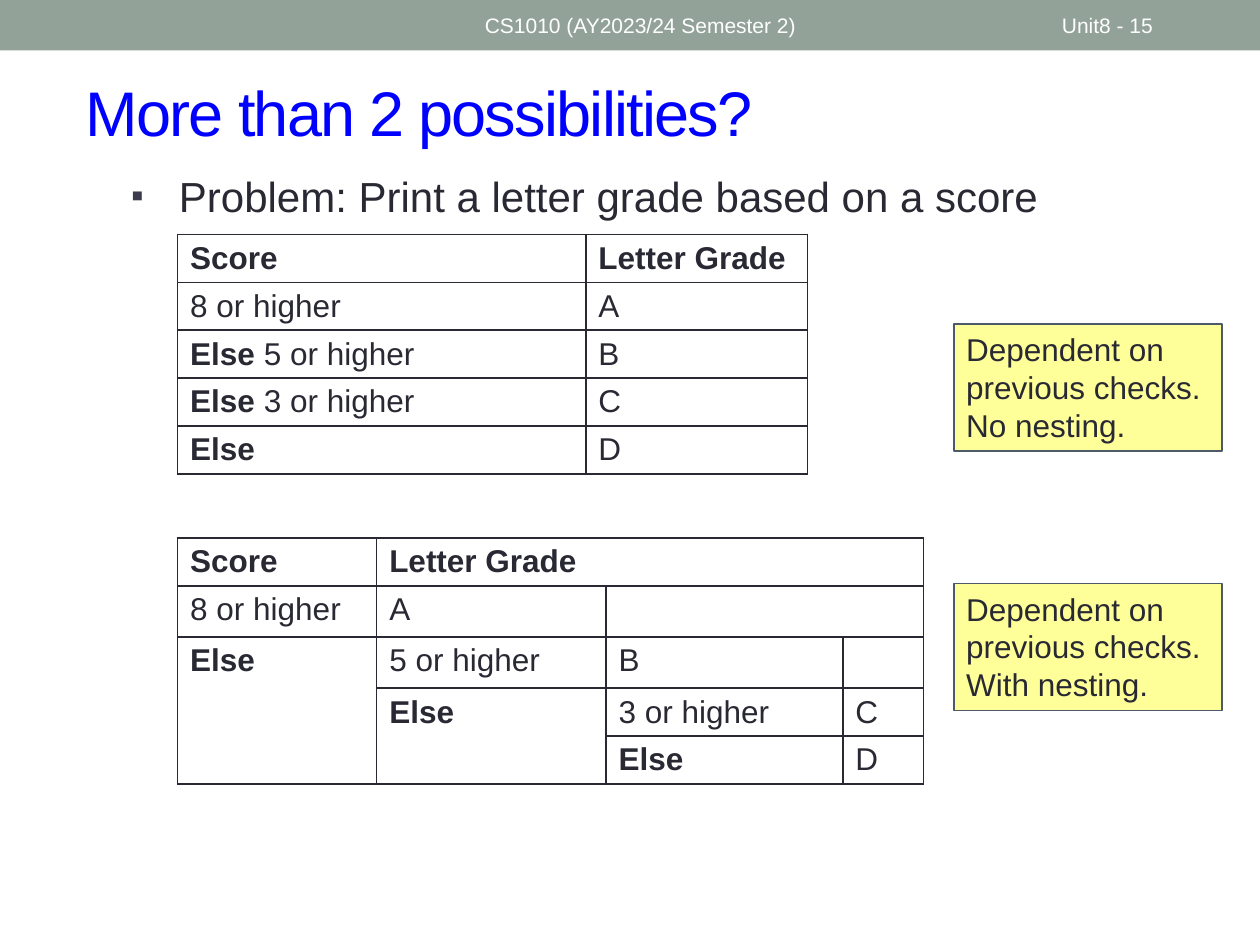
from lxml.etree import SubElement
from pptx import Presentation
from pptx.dml.color import RGBColor
from pptx.enum.shapes import MSO_SHAPE as Shape
from pptx.enum.text import MSO_ANCHOR as Anchor, PP_ALIGN as Align
from pptx.oxml import parse_xml
from pptx.oxml.ns import nsdecls, qn
from pptx.util import Inches, Pt

COLORS = {"band": "93A299", "title": "0000FF", "text": "292934", "bullet": "3B3B4B",
          "note": "FFFF99", "note_line": "4C5A6A", "white": "FFFFFF"}
FONT = "Arial"
TITLE = "More than 2 possibilities?"
PROBLEM = "Problem: Print a letter grade based on a score"
HEADINGS = [("CS1010 (AY2023/24 Semester 2)", 3.75, 4.5), ("Unit8 - 15", 8.33, 1.17)]

TABLE_LEFT, ROW_HEIGHT = 1.41, 0.38
SCORE, GRADE, ELSE = ("Score", True), ("Letter Grade", True), ("Else", True)
GRADE_TABLES = [
    {"top": 1.86, "widths": [3.24, 1.76], "merges": [],
     "rows": [[[SCORE], [GRADE]],
              [[("8 or higher", False)], [("A", False)]],
              [[ELSE, (" 5 or higher", False)], [("B", False)]],
              [[ELSE, (" 3 or higher", False)], [("C", False)]],
              [[ELSE], [("D", False)]]]},
    {"top": 4.27, "widths": [1.58, 1.82, 1.88, 0.64],
     "merges": [((0, 1), (0, 3)), ((1, 2), (1, 3)), ((2, 0), (4, 0)), ((3, 1), (4, 1))],
     "rows": [[[SCORE], [GRADE], [], []],
              [[("8 or higher", False)], [("A", False)], [], []],
              [[ELSE], [("5 or higher", False)], [("B", False)], []],
              [[], [ELSE], [("3 or higher", False)], [("C", False)]],
              [[], [], [ELSE], [("D", False)]]]},
]
NOTES = [(2.57, ["Dependent on previous checks.", "No nesting."]),
         (4.63, ["Dependent on previous checks.", "With nesting."])]


def rgb(name):
    return RGBColor.from_string(COLORS[name])


def box(left, top, width, height):
    return [Inches(value) for value in (left, top, width, height)]


def place(part, *bounds):
    part.left, part.top, part.width, part.height = box(*bounds)


def add_run(paragraph, text, size, color="text", bold=False):
    run = paragraph.add_run()
    run.text = text
    run.font.name, run.font.size, run.font.bold = FONT, Pt(size), bold
    run.font.color.rgb = rgb(color)
    return run


def add_bullet(paragraph):
    properties = paragraph._p.get_or_add_pPr()
    properties.set("marL", str(Inches(0.68)))
    properties.set("indent", str(Inches(-0.38)))
    color = SubElement(properties, qn("a:buClr"))
    SubElement(color, qn("a:srgbClr"), val=COLORS["bullet"])
    SubElement(properties, qn("a:buSzPct"), val="85000")
    SubElement(properties, qn("a:buFont"), typeface=FONT)
    SubElement(properties, qn("a:buChar"), char="▪")


def set_borders(cell):
    properties = cell._tc.get_or_add_tcPr()
    for position, side in enumerate(("lnL", "lnR", "lnT", "lnB")):
        properties.insert(position, parse_xml(
            f'<a:{side} {nsdecls("a")} w="{Pt(1)}"><a:solidFill>'
            f'<a:srgbClr val="{COLORS["text"]}"/></a:solidFill></a:{side}>'))


def add_rectangle(slide, bounds, fill, line=None):
    rectangle = slide.shapes.add_shape(Shape.RECTANGLE, *box(*bounds))
    rectangle.shadow.inherit = False
    rectangle.fill.solid()
    rectangle.fill.fore_color.rgb = rgb(fill)
    if line:
        rectangle.line.color.rgb = rgb(line)
        rectangle.line.width = Pt(1)
    else:
        rectangle.line.fill.background()
    return rectangle


def add_grade_table(slide, content):
    rows, widths = content["rows"], content["widths"]
    table = slide.shapes.add_table(
        len(rows), len(widths),
        *box(TABLE_LEFT, content["top"], sum(widths), ROW_HEIGHT * len(rows))).table
    table.first_row = table.horz_banding = False
    for column, width in zip(table.columns, widths):
        column.width = Inches(width)
    for r, row in enumerate(rows):
        table.rows[r].height = Inches(ROW_HEIGHT)
        for c, runs in enumerate(row):
            cell = table.cell(r, c)
            cell.fill.solid()
            cell.fill.fore_color.rgb = rgb("white")
            set_borders(cell)
            for text, bold in runs:
                add_run(cell.text_frame.paragraphs[0], text, 18, bold=bold)
    for first, last in content["merges"]:
        table.cell(*first).merge(table.cell(*last))


def add_note(slide, top, lines):
    frame = add_rectangle(slide, (7.57, top, 2.13, 1.01), "note", "note_line").text_frame
    frame.word_wrap = True
    frame.vertical_anchor = Anchor.TOP
    for i, line in enumerate(lines):
        paragraph = frame.add_paragraph() if i else frame.paragraphs[0]
        paragraph.alignment = Align.LEFT
        add_run(paragraph, line, 18)


def main():
    deck = Presentation()
    deck.slide_width, deck.slide_height = Inches(10), Inches(7.5)
    slide = deck.slides.add_slide(deck.slide_layouts[1])
    add_rectangle(slide, (0, 0, 10, 0.4), "band")

    title, body = slide.placeholders
    place(title, 0.58, 0.42, 9.17, 0.92)
    title.text_frame.vertical_anchor = Anchor.MIDDLE
    heading = title.text_frame.paragraphs[0]
    heading.alignment = Align.LEFT
    add_run(heading, TITLE, 36, "title").font._element.set("spc", "-100")

    place(body, 0.64, 1.3, 9, 3.7)
    problem = body.text_frame.paragraphs[0]
    add_bullet(problem)
    problem.space_before = Pt(0)
    add_run(problem, PROBLEM, 24)

    for content in GRADE_TABLES:
        add_grade_table(slide, content)
    for top, lines in NOTES:
        add_note(slide, top, lines)
    for text, left, width in HEADINGS:
        frame = slide.shapes.add_textbox(*box(left, 0.02, width, 0.36)).text_frame
        frame.word_wrap = True
        frame.vertical_anchor = Anchor.MIDDLE
        add_run(frame.paragraphs[0], text, 12, "white")
    deck.save("out.pptx")


if __name__ == "__main__":
    main()
